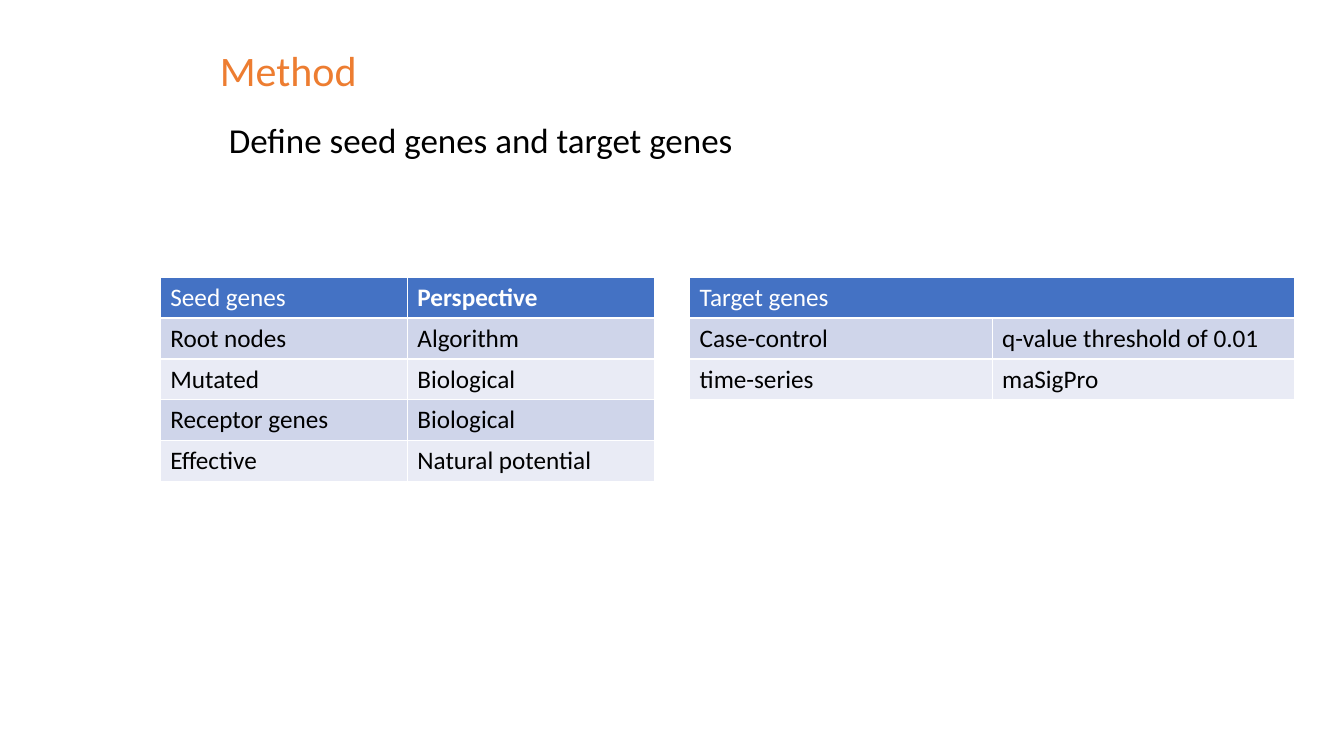
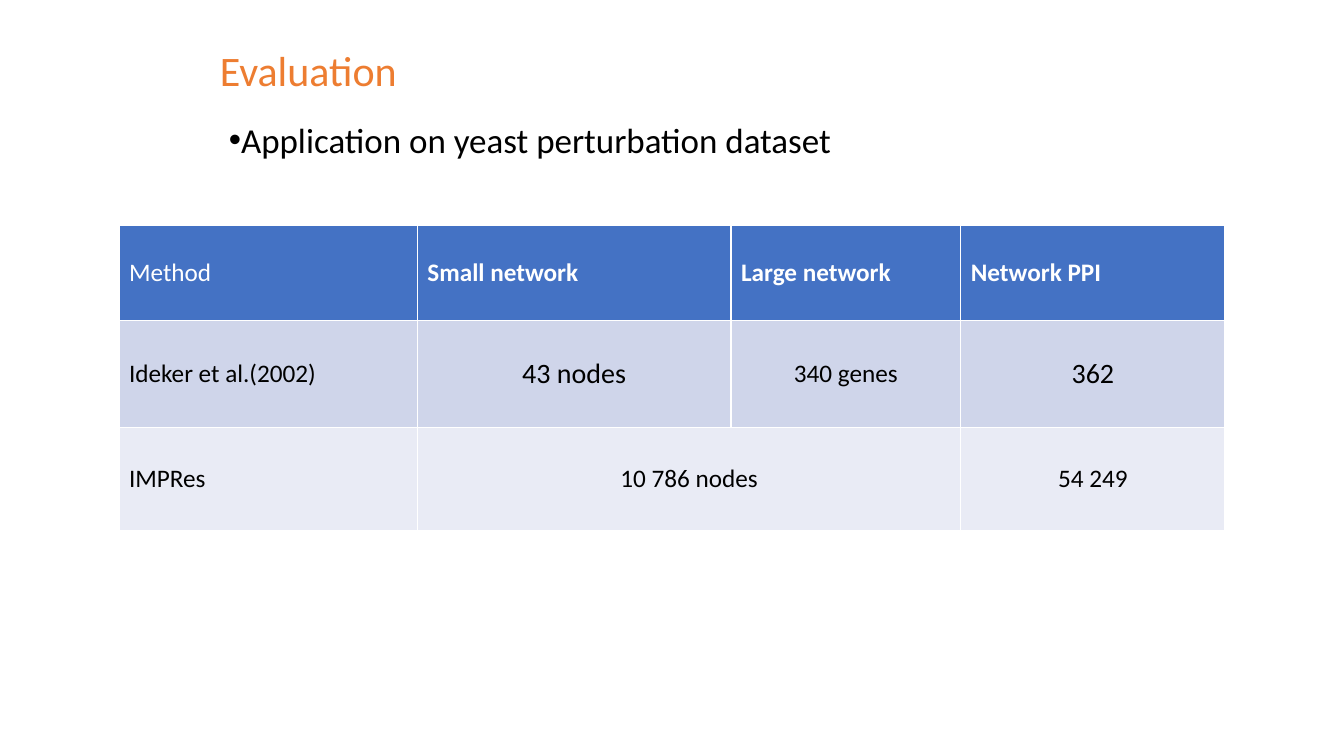
from lxml.etree import SubElement
from pptx import Presentation
from pptx.dml.color import RGBColor
from pptx.enum.text import MSO_ANCHOR as Anchor, MSO_AUTO_SIZE as AutoSize, PP_ALIGN as Align
from pptx.oxml.ns import qn
from pptx.util import Inches, Pt

COLORS = {
    "title": "ED7D31",
    "text": "000000",
    "paper": "FFFFFF",
    "header": "4472C4",
    "odd_row": "CFD5EA",
    "even_row": "E9EBF5",
}
FONT = "Calibri"


def style_text(paragraph, size, color, bold=False, align=Align.LEFT):
    paragraph.alignment = align
    for run in paragraph.runs:
        run.font.name = FONT
        run.font.size = Pt(size)
        run.font.bold = bold
        run.font.color.rgb = RGBColor.from_string(COLORS[color])


def add_gene_table(slide, left, top, widths, heights, rows, centered=False, large=()):
    table = slide.shapes.add_table(
        len(rows), len(widths), Inches(left), Inches(top),
        Inches(sum(widths)), Inches(sum(heights))).table
    for column, width in zip(table.columns, widths):
        column.width = Inches(width)
    for r, (row, height) in enumerate(zip(rows, heights)):
        table.rows[r].height = Inches(height)
        band = "header" if r == 0 else "odd_row" if r % 2 else "even_row"
        for c, value in enumerate(row):
            cell = table.cell(r, c)
            cell.fill.solid()
            cell.fill.fore_color.rgb = RGBColor.from_string(COLORS[band])
            if value is None:
                table.cell(r, c - 1).merge(cell)
                continue
            cell.text_frame.text = value
            cell.vertical_anchor = Anchor.MIDDLE
            style_text(
                cell.text_frame.paragraphs[0],
                20 if value in large else 18,
                "text" if r else "paper",
                bold=r == 0 and c > 0,
                align=Align.CENTER if centered and r and c else Align.LEFT)


prs = Presentation()
prs.slide_width = Inches(13.33)
prs.slide_height = Inches(7.5)

headings = [
    ("Method", 3.18, "Define seed genes and target genes", False),
    ("Evaluation", 2.67, "Application on yeast perturbation dataset", True),
]
slides = []
for heading, heading_width, topic, bulleted in headings:
    slide = prs.slides.add_slide(prs.slide_layouts[0])
    slides.append(slide)
    title, subtitle = slide.placeholders
    for holder, text, box, size, color, anchor in [
        (title, heading, (2.08, 0.25, heading_width, 0.75), 30, "title", Anchor.BOTTOM),
        (subtitle, topic, (2.17, 1.17, 9.5, 0.33), 25, "text", Anchor.TOP),
    ]:
        holder.left, holder.top, holder.width, holder.height = map(Inches, box)
        frame = holder.text_frame
        frame.text = text
        frame.word_wrap = True
        frame.auto_size = AutoSize.NONE
        frame.vertical_anchor = anchor
        frame.paragraphs[0].line_spacing = 0.9
        style_text(frame.paragraphs[0], size, color)
    title.fill.solid()
    title.fill.fore_color.rgb = RGBColor.from_string(COLORS["paper"])
    topic_line = subtitle.text_frame.paragraphs[0]
    topic_line.space_before = Pt(10)
    if bulleted:
        properties = topic_line._p.get_or_add_pPr()
        properties.set("marL", "0")
        properties.set("indent", "0")
        SubElement(properties, qn("a:buFont")).set("typeface", "Arial")
        SubElement(properties, qn("a:buChar")).set("char", "•")

method, evaluation = slides

seed_genes = [
    ("Seed genes", "Perspective"),
    ("Root nodes", "Algorithm"),
    ("Mutated", "Biological"),
    ("Receptor genes", "Biological"),
    ("Effective", "Natural potential"),
]
target_genes = [
    ("Target genes", None),
    ("Case-control", "q-value threshold of 0.01"),
    ("time-series", "maSigPro"),
]
networks = [
    ("Method", "Small network", "Large network", "Network PPI"),
    ("Ideker et al.(2002)", "43 nodes", "340 genes", "362"),
    ("IMPRes", "10 786 nodes", None, "54 249"),
]
add_gene_table(method, 1.59, 2.75, [2.45] * 2, [0.4] * 5, seed_genes)
add_gene_table(method, 6.84, 2.75, [3] * 2, [0.4] * 3, target_genes)
add_gene_table(evaluation, 1.18, 2.24, [2.96, 3.11, 2.28, 2.62], [0.94, 1.06, 1.02],
               networks, centered=True, large=("43 nodes", "362"))

prs.save("out.pptx")
